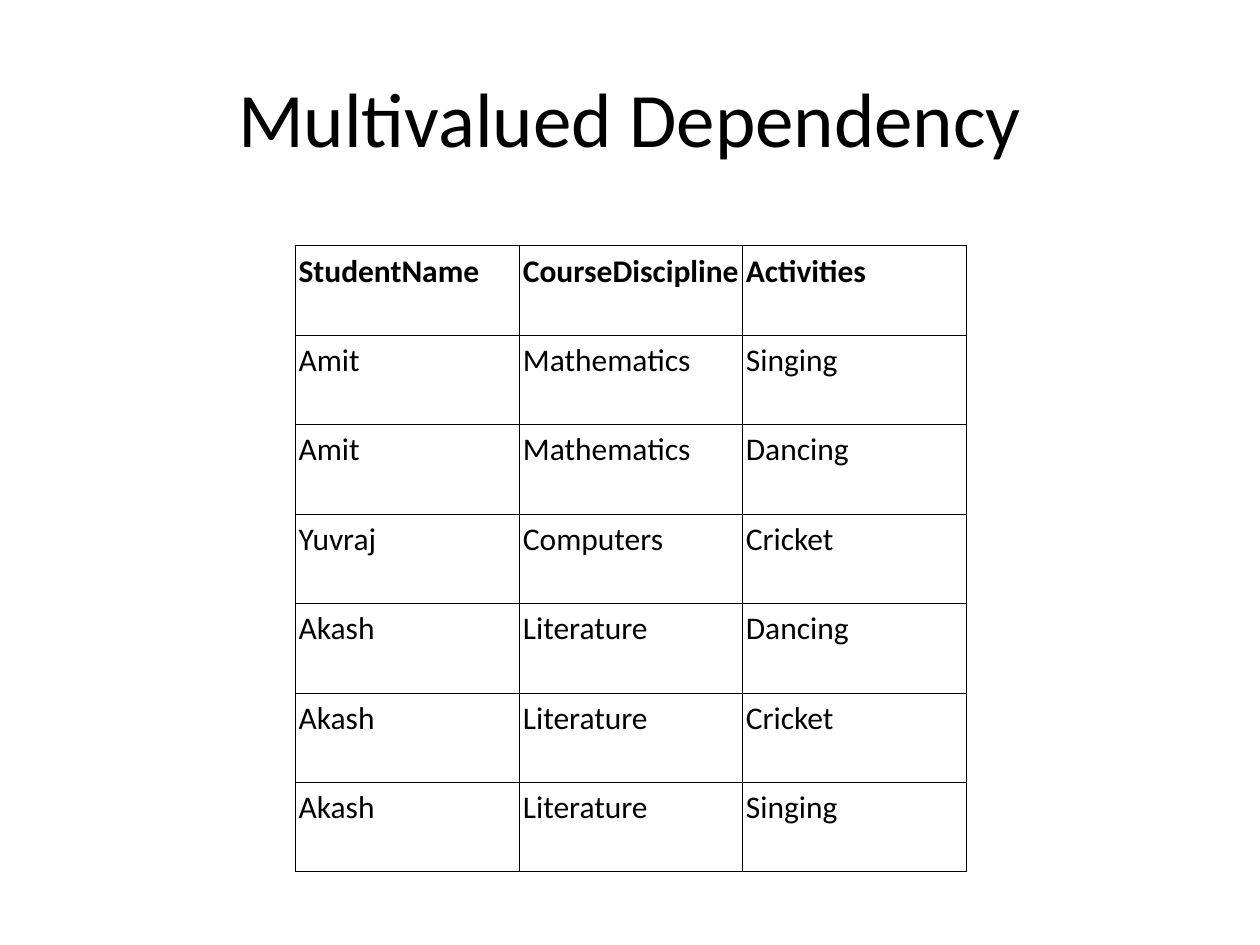
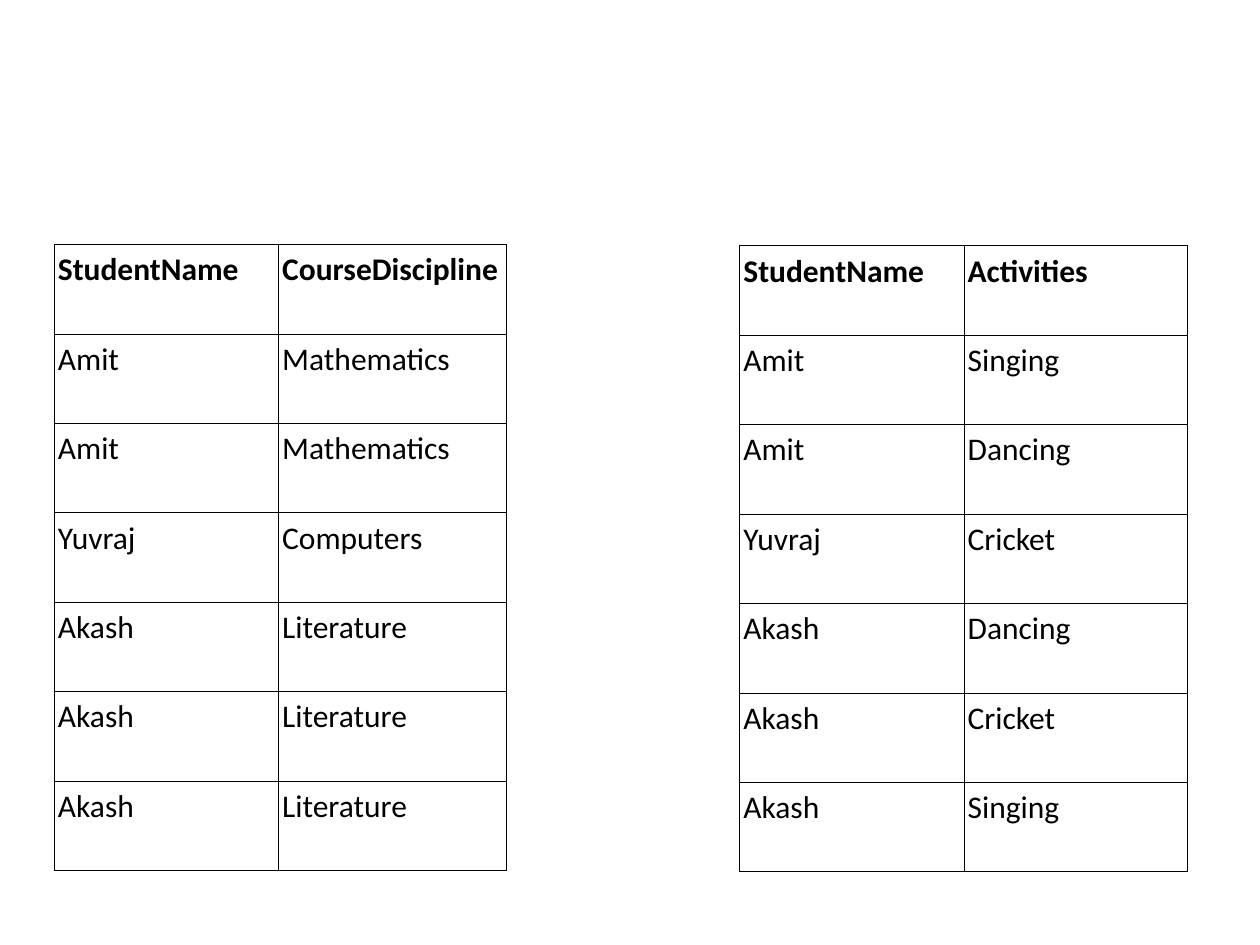
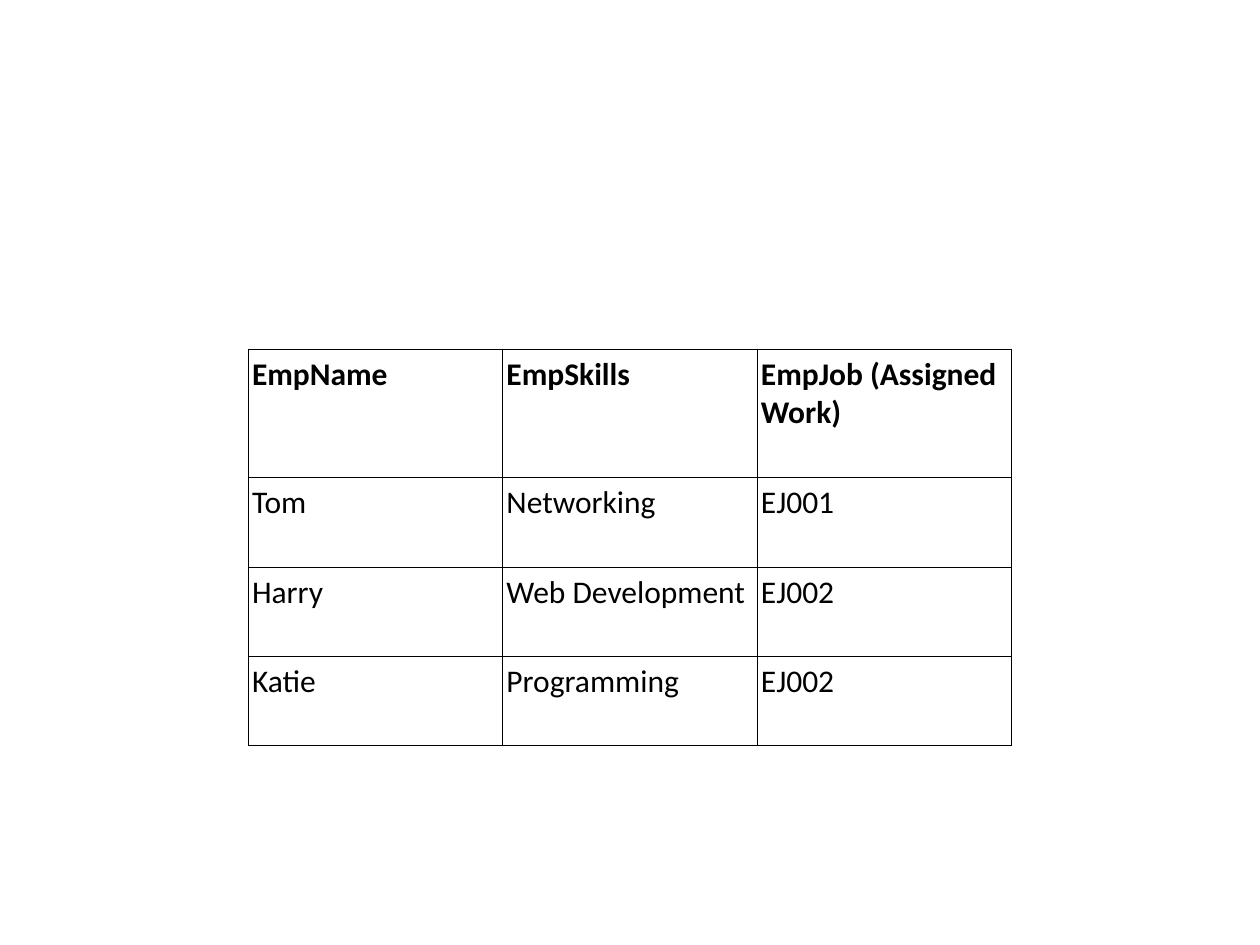
from lxml.etree import SubElement
from pptx import Presentation
from pptx.dml.color import RGBColor
from pptx.enum.text import MSO_ANCHOR, PP_ALIGN
from pptx.oxml.ns import qn
from pptx.util import Inches, Pt

FONT = "Calibri"
INK = "000000"
TITLE_ONLY, BLANK = 5, 6
ROW = 0.71

COURSES = [
    ("StudentName", "CourseDiscipline", "Activities"),
    ("Amit", "Mathematics", "Singing"),
    ("Amit", "Mathematics", "Dancing"),
    ("Yuvraj", "Computers", "Cricket"),
    ("Akash", "Literature", "Dancing"),
    ("Akash", "Literature", "Cricket"),
    ("Akash", "Literature", "Singing"),
]
JOBS = [
    ("EmpName", "EmpSkills", "EmpJob (Assigned Work)"),
    ("Tom", "Networking", "EJ001"),
    ("Harry", "Web Development", "EJ002"),
    ("Katie", "Programming", "EJ002"),
]


def color(code):
    return RGBColor.from_string(code)


def style(par, size, bold=False):
    font = par.font
    font.name, font.size, font.bold = FONT, Pt(size), bold
    font.color.rgb = color(INK)


def border(cell):
    """Draw a thin line on all four sides of a cell."""
    props = cell._tc.get_or_add_tcPr()
    for side in ("lnL", "lnR", "lnT", "lnB"):
        line = SubElement(props, qn(f"a:{side}"), w=str(Pt(0.45)))
        fill = SubElement(line, qn("a:solidFill"))
        SubElement(fill, qn("a:srgbClr"), val=INK)


def fill_cell(cell, text, bold):
    border(cell)
    cell.fill.background()
    cell.margin_left, cell.margin_right = Inches(0.03), Inches(0.02)
    cell.margin_top = cell.margin_bottom = Inches(0.05)
    cell.vertical_anchor = MSO_ANCHOR.TOP
    cell.text = text
    style(cell.text_frame.paragraphs[0], 18, bold)


def add_grid(slide, left, top, widths, rows, head=ROW):
    """Place a ruled table with a bold first row of height head."""
    heights = [head] + [ROW] * (len(rows) - 1)
    frame = slide.shapes.add_table(
        len(rows), len(widths), Inches(left), Inches(top),
        Inches(sum(widths)), Inches(sum(heights)))
    table = frame.table
    table.first_row = table.horz_banding = False
    for col, width in zip(table.columns, widths):
        col.width = Inches(width)
    for y, (row, height) in enumerate(zip(rows, heights)):
        table.rows[y].height = Inches(height)
        for x, text in enumerate(row):
            fill_cell(table.cell(y, x), text, bold=y == 0)


def add_title(slide, text):
    title = slide.shapes.title
    title.left, title.top = Inches(0.5), Inches(0.3)
    title.width, title.height = Inches(9), Inches(1.25)
    title.text = text
    title.text_frame.vertical_anchor = MSO_ANCHOR.MIDDLE
    par = title.text_frame.paragraphs[0]
    par.alignment = PP_ALIGN.CENTER
    style(par, 44)


def pick(rows, *cols):
    """Keep only the given columns of a relation."""
    return [[row[col] for col in cols] for row in rows]


def main():
    deck = Presentation()
    deck.slide_width, deck.slide_height = Inches(10), Inches(7.5)
    layouts = deck.slide_layouts

    slide = deck.slides.add_slide(layouts[TITLE_ONLY])
    add_title(slide, "Multivalued Dependency")
    add_grid(slide, 2.34, 1.95, [1.78, 1.77, 1.78], COURSES)

    slide = deck.slides.add_slide(layouts[BLANK])
    add_grid(slide, 0.43, 1.94, [1.78, 1.81], pick(COURSES, 0, 1))
    add_grid(slide, 5.87, 1.95, [1.78, 1.77], pick(COURSES, 0, 2))

    slide = deck.slides.add_slide(layouts[BLANK])
    add_grid(slide, 1.97, 2.77, [2.02] * 3, JOBS, head=1.02)

    deck.save("out.pptx")


if __name__ == "__main__":
    main()
